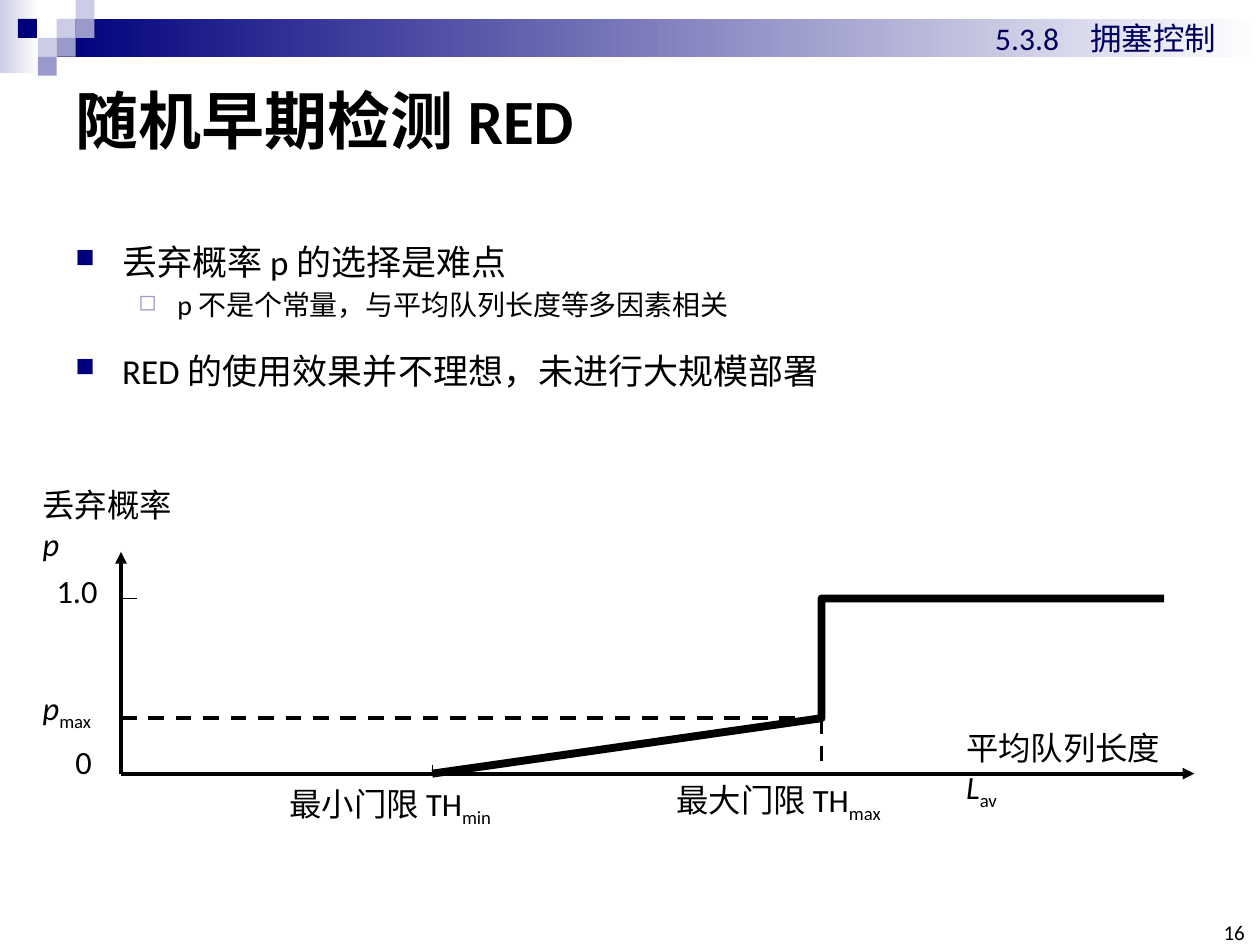
from lxml.etree import SubElement
from pptx import Presentation
from pptx.dml.color import RGBColor
from pptx.enum.dml import MSO_LINE
from pptx.enum.shapes import MSO_CONNECTOR, MSO_SHAPE
from pptx.enum.text import MSO_ANCHOR, PP_ALIGN
from pptx.oxml.ns import qn
from pptx.util import Inches, Pt

BLACK = RGBColor(0, 0, 0)
WHITE = RGBColor(255, 255, 255)
NAVY = RGBColor(0x00, 0x00, 0x7D)
INK = RGBColor(0x00, 0x00, 0x5E)
PALE = RGBColor(0xCC, 0xCC, 0xE6)
LILAC = RGBColor(0x99, 0x99, 0xCC)
FONT = "Calibri"
UNIT = 0.15
ZERO, LOW, HIGH = 0.96, 3.43, 6.52
BASE, MID, TOP = 6.14, 5.7, 4.75
TILES = [(3, 1, PALE), (4, 0, PALE), (4, 1, LILAC), (2, 2, PALE),
         (0.95, 1, NAVY), (3, 2, LILAC), (2, 3, LILAC)]
LABELS = [
    (2.2, 6.17, 1.8, [("最小门限 TH", ""), ("min", "sub")]),
    (5.27, 6.14, 2.1, [("最大门限 TH", ""), ("max", "sub")]),
    (7.57, 5.73, 2.0, [("平均队列长度 ", ""), ("L", "italic"), ("av", "sub")]),
    (0.24, 3.8, 1.38, [("丢弃概率 ", ""), ("p", "italic")]),
    (0.35, 4.48, 0.65, [("1.0", "")]),
    (0.5, 5.84, 0.45, [("0", "")]),
    (0.24, 5.41, 0.75, [("p", "italic"), ("max", "sub")]),
]
POINTS = [
    ("丢弃概率 p 的选择是难点", 0),
    ("p 不是个常量，与平均队列长度等多因素相关", 1),
    ("RED 的使用效果并不理想，未进行大规模部署", 0),
]
LEVELS = [
    dict(size=20, left=0.37, hang=0.37, mark="■", tint=NAVY, share=75, space=1.5),
    dict(size=16, left=0.81, hang=0.31, mark="◻", tint=LILAC, share=80, space=1),
]


def block(slide, left, top, width, height, color, fade=None):
    """Draw a rectangle, plain or fading from left to right."""
    shape = slide.shapes.add_shape(
        MSO_SHAPE.RECTANGLE, *map(Inches, (left, top, width, height)))
    shape.shadow.inherit = False
    shape.line.fill.background()
    if fade is None:
        shape.fill.solid()
        shape.fill.fore_color.rgb = color
    else:
        shape.fill.gradient()
        shape.fill.gradient_angle = 0
        for stop, tone in zip(shape.fill.gradient_stops, (color, fade)):
            stop.color.rgb = tone


def frame(slide, left, top, width, height, anchor=MSO_ANCHOR.TOP, inset=True):
    """Add a wrapping text box and return its text frame."""
    box = slide.shapes.add_textbox(*map(Inches, (left, top, width, height)))
    text = box.text_frame
    text.word_wrap = True
    text.vertical_anchor = anchor
    if not inset:
        text.margin_left = text.margin_right = 0
        text.margin_top = text.margin_bottom = 0
    return text


def write(para, text, size=18.5, color=BLACK, bold=False, style="", align=None):
    """Add a formatted run to a paragraph."""
    if align is not None:
        para.alignment = align
    run = para.add_run()
    run.text = text
    font = run.font
    font.name, font.size, font.bold = FONT, Pt(size), bold
    font.italic = style == "italic"
    font.color.rgb = color
    if style == "sub":
        font._element.set("baseline", "-25000")


def bullet(para, left, hang, mark, tint, share):
    """Give a paragraph a hanging bullet."""
    props = para._p.get_or_add_pPr()
    props.set("marL", str(Inches(left)))
    props.set("indent", str(-Inches(hang)))
    SubElement(SubElement(props, qn("a:buClr")), qn("a:srgbClr"), val=str(tint))
    SubElement(props, qn("a:buSzPct"), val=str(share * 1000))
    SubElement(props, qn("a:buChar"), char=mark)


def line(slide, start, end, width=2.25, dash=False, arrow=False):
    """Draw a straight black line."""
    link = slide.shapes.add_connector(
        MSO_CONNECTOR.STRAIGHT, *map(Inches, (*start, *end)))
    link.line.color.rgb = BLACK
    link.line.width = Pt(width)
    if dash:
        link.line.dash_style = MSO_LINE.DASH
    if arrow:
        SubElement(link.line._get_or_add_ln(), qn("a:tailEnd"), type="triangle")
    SubElement(link._element.spPr, qn("a:effectLst"))


def curve(slide, points, width):
    """Draw an open black path through the points."""
    first, *rest = [tuple(map(Inches, point)) for point in points]
    path = slide.shapes.build_freeform(*first)
    path.add_line_segments(rest, close=False)
    shape = path.convert_to_shape()
    shape.shadow.inherit = False
    shape.fill.background()
    shape.line.color.rgb = BLACK
    shape.line.width = Pt(width)


def header(slide):
    """Draw the top band, its tiles and the slide's titles."""
    block(slide, 0, 0, 0.31, 0.58, PALE, fade=WHITE)
    block(slide, 3 * UNIT, UNIT, 10 - 3 * UNIT, 2 * UNIT, NAVY, fade=WHITE)
    for col, row, color in TILES:
        block(slide, col * UNIT, row * UNIT, UNIT, UNIT, color)
    title = frame(slide, 0.5, 0.5, 9, 0.89, anchor=MSO_ANCHOR.MIDDLE)
    write(title.paragraphs[0], "随机早期检测 RED", size=36, bold=True)
    page = frame(slide, 9.65, 7.33, 0.23, 0.17, MSO_ANCHOR.BOTTOM, inset=False)
    write(page.paragraphs[0], "16", size=12, align=PP_ALIGN.RIGHT)
    topic = frame(slide, 7.8, 0.1, 2.08, 0.4)
    write(topic.paragraphs[0], "5.3.8　拥塞控制", size=18, color=INK)


def graph(slide):
    """Draw the drop curve with its axes, guides and labels."""
    line(slide, (ZERO, BASE), (9.48, BASE), arrow=True)
    line(slide, (ZERO, BASE), (ZERO, 4.38), arrow=True)
    line(slide, (HIGH, MID), (HIGH, BASE), dash=True)
    line(slide, (ZERO, MID), (HIGH, MID), dash=True)
    line(slide, (LOW, BASE - 0.07), (LOW, BASE), width=0.75)
    line(slide, (ZERO, TOP), (ZERO + 0.13, TOP), width=0.75)
    curve(slide, [(LOW, BASE), (HIGH, MID), (HIGH, TOP), (9.24, TOP)], 4.5)
    for left, top, width, runs in LABELS:
        para = frame(slide, left, top, width, 0.41).paragraphs[0]
        for text, style in runs:
            write(para, text, style=style)


def body(slide):
    """Write the bulleted points."""
    text = frame(slide, 0.5, 1.69, 9.15, 1.7)
    for index, (words, level) in enumerate(POINTS):
        look = dict(LEVELS[level])
        size, space = look.pop("size"), look.pop("space")
        para = text.add_paragraph() if index else text.paragraphs[0]
        para.level = level
        bullet(para, **look)
        para.line_spacing = float(space)
        para.space_before = Pt(size * 0.2 if index else 0)
        write(para, words, size=size)


def main():
    """Build and save the slide."""
    deck = Presentation()
    deck.slide_width, deck.slide_height = Inches(10), Inches(7.5)
    slide = deck.slides.add_slide(deck.slide_layouts[6])
    header(slide)
    graph(slide)
    body(slide)
    deck.save("out.pptx")


if __name__ == "__main__":
    main()
